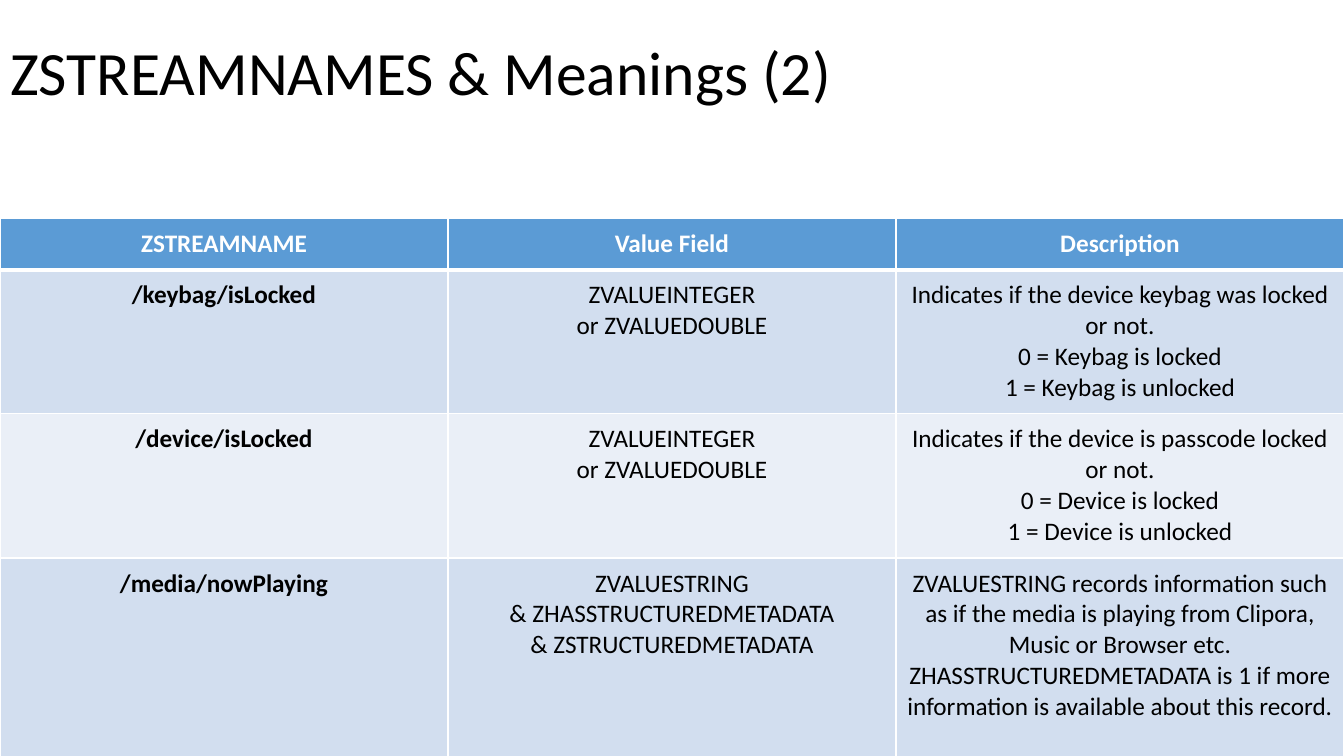
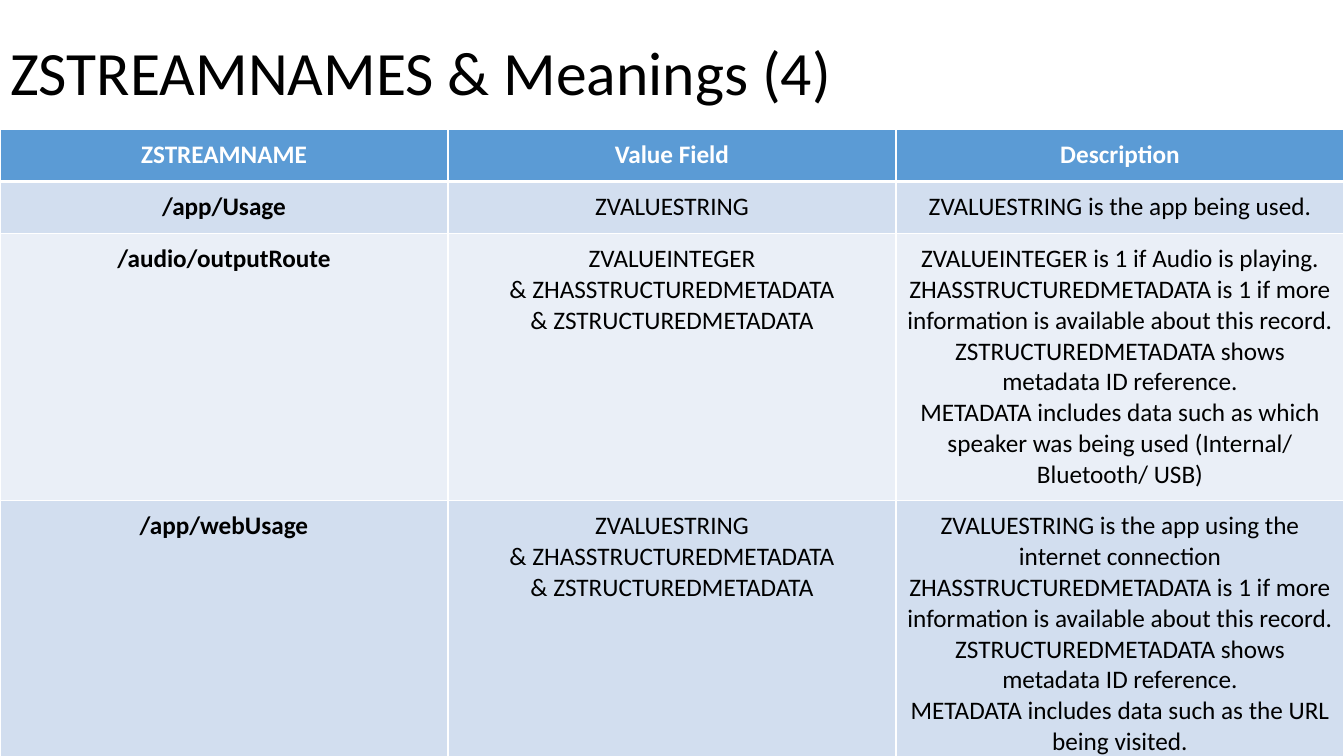
from lxml import etree
from pptx import Presentation
from pptx.dml.color import RGBColor
from pptx.enum.text import MSO_ANCHOR, MSO_AUTO_SIZE, PP_ALIGN
from pptx.oxml.ns import qn
from pptx.util import Inches, Pt

LEFT, CENTER = PP_ALIGN.LEFT, PP_ALIGN.CENTER
MIDDLE, TOP = MSO_ANCHOR.MIDDLE, MSO_ANCHOR.TOP
NO_FIT = MSO_AUTO_SIZE.NONE

COLORS = {"text": "000000", "white": "FFFFFF", "header": "5B9BD5",
          "odd": "D2DEEF", "even": "EAEFF7"}
FONT = "Calibri"
WIDTH, HEIGHT = Inches(13.33), Inches(7.5)
MARGINS = ("margin_left", "margin_top", "margin_right", "margin_bottom")
TITLE_ONLY = 5

HEADINGS = ("ZSTREAMNAME", "Value Field", "Description")
NUMBER = "ZVALUEINTEGER\nor ZVALUEDOUBLE"
METADATA = "\n& ZHASSTRUCTUREDMETADATA\n& ZSTRUCTUREDMETADATA"
MORE = ("\nZHASSTRUCTUREDMETADATA is 1 if more information "
        "is available about this record.")
REFERENCE = MORE + "\nZSTRUCTUREDMETADATA shows metadata ID reference."

PAGES = [
    {"number": 2, "top": 2.17, "heights": (0.5, 1.43, 1.43, 1.97), "streams": [
        ("/keybag/isLocked", NUMBER,
         "Indicates if the device keybag was locked or not."
         "\n0 = Keybag is locked\n1 = Keybag is unlocked"),
        ("/device/isLocked", NUMBER,
         "Indicates if the device is passcode locked or not."
         "\n0 = Device is locked\n1 = Device is unlocked"),
        ("/media/nowPlaying", "ZVALUESTRING" + METADATA,
         "ZVALUESTRING records information such as if the media is playing "
         "from Clipora, Music or Browser etc." + MORE),
    ]},
    {"number": 4, "top": 1.28, "heights": (0.52, 0.52, 2.65, 2.65), "streams": [
        ("/app/Usage", "ZVALUESTRING", "ZVALUESTRING is the app being used."),
        ("/audio/outputRoute", "ZVALUEINTEGER" + METADATA,
         "ZVALUEINTEGER is 1 if Audio is playing." + REFERENCE +
         "\nMETADATA includes data such as which speaker was being used "
         "(Internal/ Bluetooth/ USB)"),
        ("/app/webUsage", "ZVALUESTRING" + METADATA,
         "ZVALUESTRING is the app using the internet connection" + REFERENCE +
         "\nMETADATA includes data such as the URL being visited."),
    ]},
]


def write(frame, text, align, color, size, bold=False):
    para = frame.paragraphs[0]
    para.text = text
    para.alignment = align
    for span in para.runs:
        for name, value in {"name": FONT, "size": Pt(size), "bold": bold}.items():
            setattr(span.font, name, value)
        span.font.color.rgb = RGBColor.from_string(COLORS[color])
    return para


def add_borders(cell, widths):
    properties = cell._tc.get_or_add_tcPr()
    for position, (side, points) in enumerate(widths.items()):
        line = etree.Element(qn(f"a:ln{side}"), w=str(Pt(points)))
        fill = etree.SubElement(line, qn("a:solidFill"))
        etree.SubElement(fill, qn("a:srgbClr"), val=COLORS["white"])
        properties.insert(position, line)


deck = Presentation()
deck.slide_width, deck.slide_height = WIDTH, HEIGHT

for content in PAGES:
    page = deck.slides.add_slide(deck.slide_layouts[TITLE_ONLY])

    title = page.shapes.title
    title.left, title.top = 0, Inches(0.02)
    title.width, title.height = Inches(11.5), Inches(1.45)
    title.text_frame.vertical_anchor = MIDDLE
    title.text_frame.auto_size = NO_FIT
    heading = write(title.text_frame, f"ZSTREAMNAMES & Meanings ({content['number']})",
                    LEFT, "text", 44)
    heading.line_spacing = 0.9

    rows = [HEADINGS] + content["streams"]
    table = page.shapes.add_table(
        len(rows), len(HEADINGS), 0, Inches(content["top"]),
        WIDTH, Inches(sum(content["heights"]))).table
    for column in table.columns:
        column.width = WIDTH // len(HEADINGS)

    for r, (texts, height) in enumerate(zip(rows, content["heights"])):
        table.rows[r].height = Inches(height)
        is_header = r == 0
        fill_name = "header" if is_header else ("even", "odd")[r % 2]
        for c, text in enumerate(texts):
            cell = table.cell(r, c)
            for margin in MARGINS:
                setattr(cell, margin, Inches(0.1))
            cell.vertical_anchor = TOP
            cell.fill.solid()
            cell.fill.fore_color.rgb = RGBColor.from_string(COLORS[fill_name])
            write(cell.text_frame, text, CENTER, "white" if is_header else "text",
                  18, bold=is_header or c == 0)
            add_borders(cell, {"L": 1, "R": 1, "T": 3 if r == 1 else 1,
                               "B": 3 if is_header else 1})

deck.save("out.pptx")
